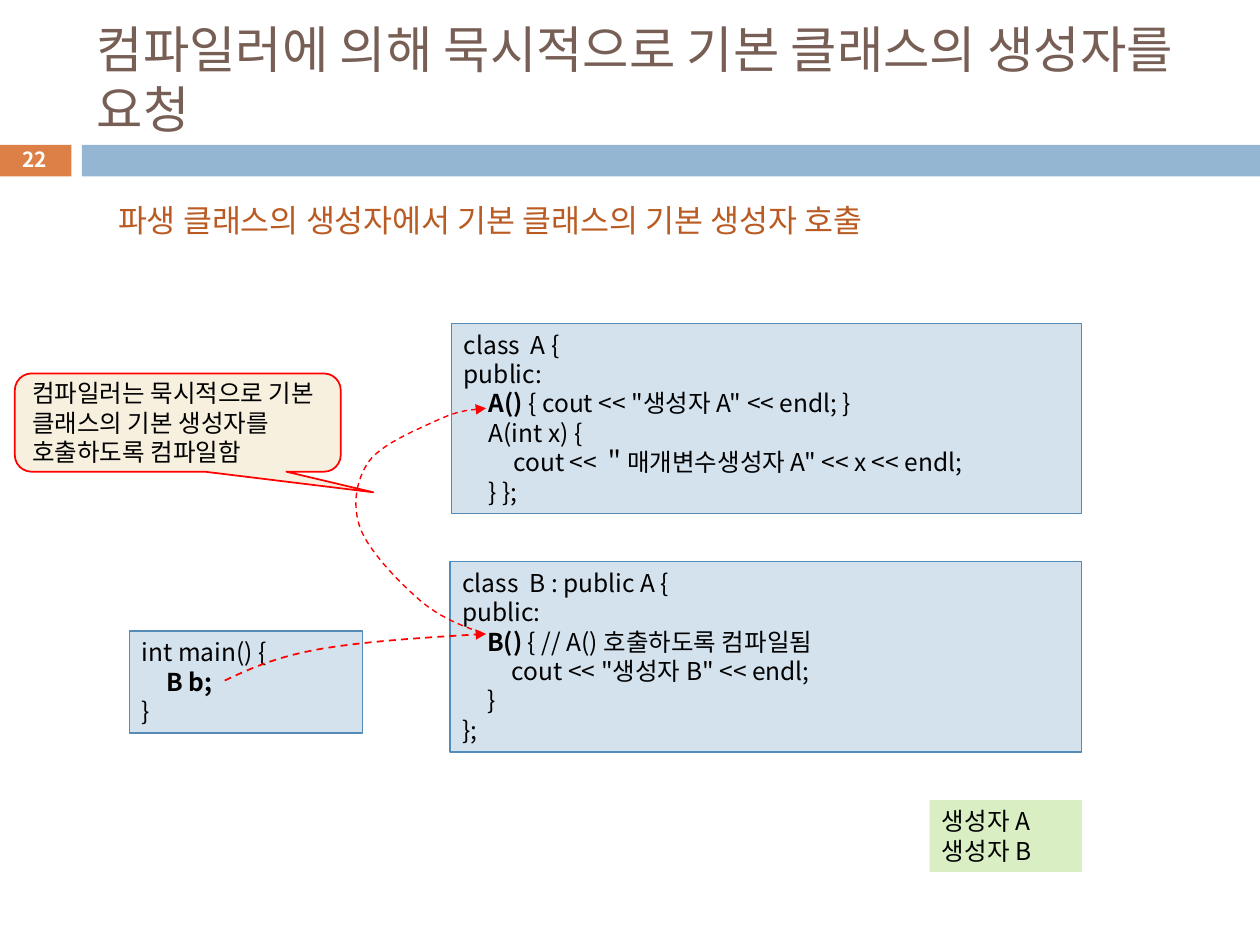
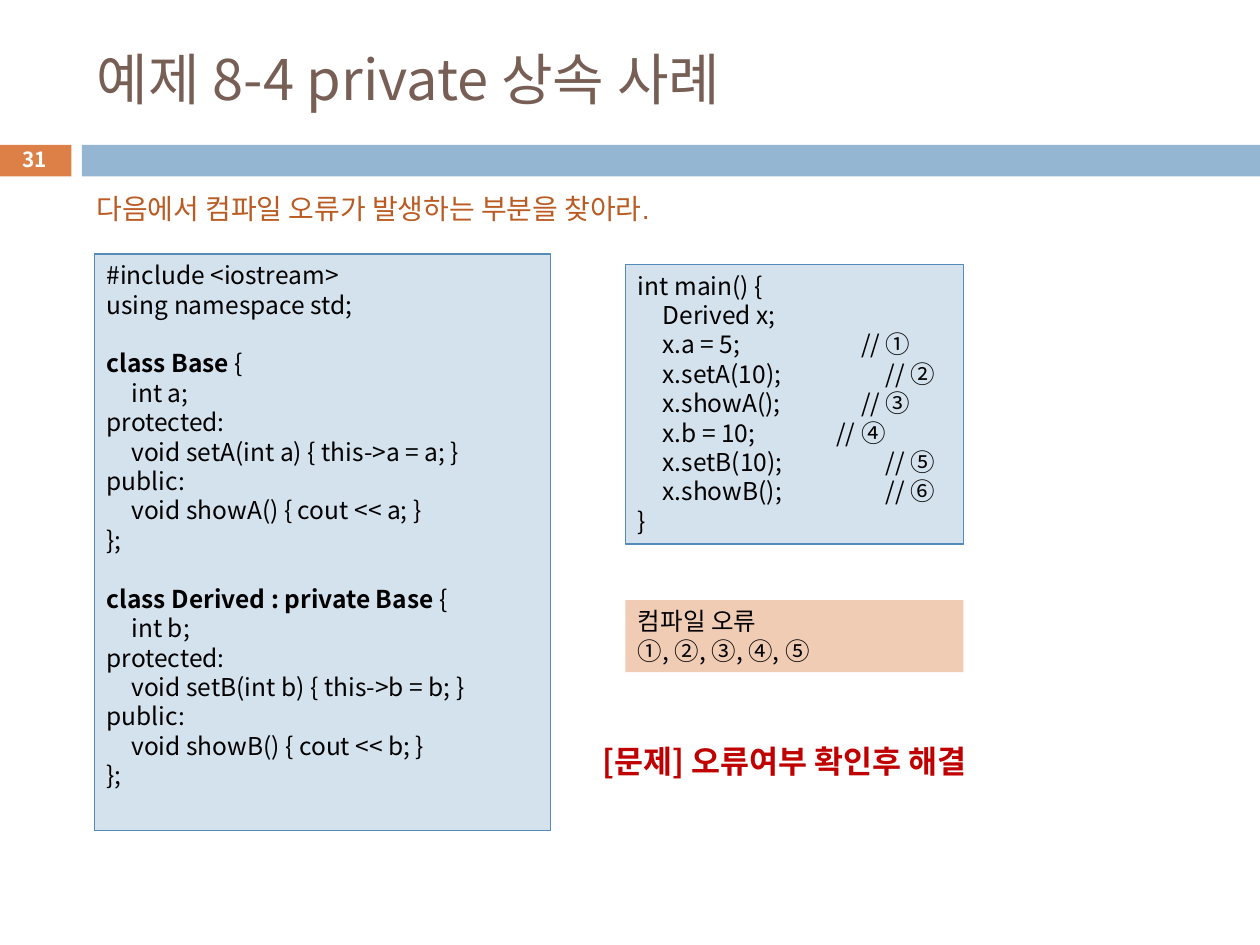
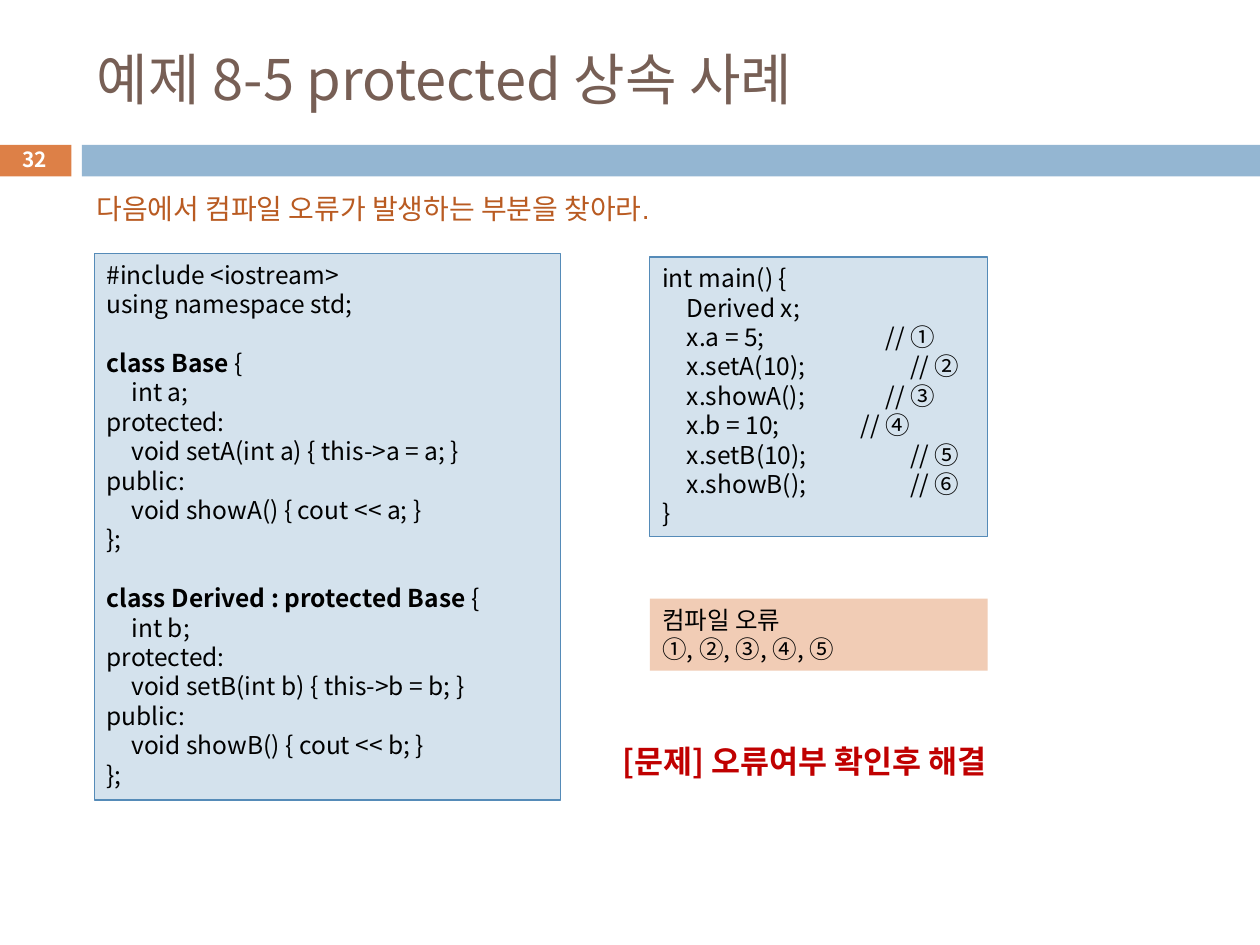
from lxml import etree
from pptx import Presentation
from pptx.dml.color import RGBColor
from pptx.enum.dml import MSO_LINE
from pptx.enum.shapes import MSO_SHAPE
from pptx.enum.text import MSO_ANCHOR, MSO_AUTO_SIZE, PP_ALIGN
from pptx.oxml.ns import qn
from pptx.util import Cm, Pt

RECTANGLE = MSO_SHAPE.RECTANGLE
CALLOUT = MSO_SHAPE.ROUNDED_RECTANGULAR_CALLOUT
DASH = MSO_LINE.DASH
TOP, MIDDLE = MSO_ANCHOR.TOP, MSO_ANCHOR.MIDDLE
LEFT, CENTER = PP_ALIGN.LEFT, PP_ALIGN.CENTER
FIXED_SIZE = MSO_AUTO_SIZE.NONE

BLACK = RGBColor(0x00, 0x00, 0x00)
WHITE = RGBColor(0xFF, 0xFF, 0xFF)
BROWN = RGBColor(0x77, 0x5F, 0x55)
ORANGE = RGBColor(0xDD, 0x80, 0x47)
RUST = RGBColor(0xB9, 0x5B, 0x22)
BLUE = RGBColor(0x94, 0xB6, 0xD2)
PALE_BLUE = RGBColor(0xD4, 0xE2, 0xED)
EDGE_BLUE = RGBColor(0x55, 0x8B, 0xB8)
PALE_GREEN = RGBColor(0xDA, 0xEE, 0xC4)
PEACH = RGBColor(0xF1, 0xCC, 0xB5)
CREAM = RGBColor(0xF7, 0xF0, 0xDE)
RED = RGBColor(0xFF, 0x00, 0x00)
DARK_RED = RGBColor(0xC0, 0x00, 0x00)

FONT = "Noto Sans CJK KR"
TITLE_ONLY = 5
TAB_WIDTH = 0.5
TAB_COUNT = 12
BLANK_LINE = Pt(16.8)

CLASS_A = """class  A {
public:
\t**A() **{ cout << "생성자 A" << endl; }
\tA(int x) {
\t\tcout << ＂매개변수생성자 A" << x << endl;
\t} };"""

CLASS_B = """class  B : public A {
public:
\t**B() **{ // A() 호출하도록 컴파일됨
\t\tcout << "생성자 B" << endl;
\t}
};"""

MAIN_B = """int main() {
\t**B b;**
}"""

BASE_AND_DERIVED = """#include <iostream>
using namespace std;

**class Base **{
\tint a;
protected:
\tvoid setA(int a) { this->a = a; }
public:
\tvoid showA() { cout << a; }
};

**class Derived : ACCESS Base **{
\tint b;
protected:
\tvoid setB(int b) { this->b = b; }
public:
\tvoid showB() { cout << b; }
};"""

MAIN_DERIVED = """int main() {
\tDerived x;
\tx.a = 5; \t\t\t\t\t// ①
\tx.setA(10); \t\t\t\t// ②
\tx.showA(); \t\t\t\t// ③
\tx.b = 10; \t\t\t\t// ④
\tx.setB(10); \t\t\t\t// ⑤
\tx.showB(); \t\t\t\t// ⑥
}"""


class Deck:
    def __init__(self):
        self.presentation = Presentation()
        self.presentation.slide_width = Cm(25.4)
        self.presentation.slide_height = Cm(19.05)
        self.slide = None

    def start_slide(self, number, title, title_size=32):
        layout = self.presentation.slide_layouts[TITLE_ONLY]
        self.slide = self.presentation.slides.add_slide(layout)
        heading = self.slide.shapes.title
        heading.left, heading.top = Cm(1.7), Cm(0.64)
        heading.width, heading.height = Cm(22.66), Cm(1.88)
        self.set_text(heading, title, title_size, BROWN, anchor=MIDDLE)
        self.box((-0.03, 2.92, 1.47, 0.64), ORANGE)
        self.box((1.65, 2.92, 23.75, 0.64), BLUE)
        self.label((-0.03, 2.87, 1.47, 0.69), f"**{number}**", 11.9, WHITE,
                   align=CENTER, anchor=MIDDLE)

    def set_text(self, shape, text, size=14, color=BLACK, font=FONT,
                 align=LEFT, anchor=TOP):
        """Fill a shape with lines of text; ** switches bold on and off."""
        frame = shape.text_frame
        frame.word_wrap = True
        frame.auto_size = FIXED_SIZE
        frame.vertical_anchor = anchor
        paragraph = frame.paragraphs[0]
        after_blank = False
        for index, line in enumerate(text.split("\n")):
            if not line:
                after_blank = True
                continue
            if index:
                paragraph = frame.add_paragraph()
            paragraph.alignment = align
            if "\t" in line:
                self.set_tabs(paragraph)
            if after_blank:
                paragraph.space_before = BLANK_LINE
                after_blank = False
            for part, words in enumerate(line.split("**")):
                if words:
                    self.add_run(paragraph, words, size, color, font, part % 2 == 1)

    def add_run(self, paragraph, words, size, color, font, bold):
        run = paragraph.add_run()
        run.text = words
        run.font.size = Pt(size)
        run.font.bold = bold
        run.font.name = font
        run.font.color.rgb = color
        east_asian = etree.SubElement(run.font._element, qn("a:ea"))
        east_asian.set("typeface", FONT)

    def set_tabs(self, paragraph):
        stops = etree.SubElement(paragraph._p.get_or_add_pPr(), qn("a:tabLst"))
        for number in range(1, TAB_COUNT + 1):
            etree.SubElement(stops, qn("a:tab"), pos=str(Cm(TAB_WIDTH * number)), algn="l")

    def box(self, place, fill, edge=None, edge_width=0.75, kind=RECTANGLE):
        shape = self.slide.shapes.add_shape(kind, *map(Cm, place))
        shape.shadow.inherit = False
        shape.fill.solid()
        shape.fill.fore_color.rgb = fill
        if edge is None:
            shape.line.fill.background()
        else:
            shape.line.color.rgb = edge
            shape.line.width = Pt(edge_width)
        return shape

    def label(self, place, text, size, color, **style):
        self.set_text(self.slide.shapes.add_textbox(*map(Cm, place)), text, size, color, **style)

    def code(self, place, text):
        self.set_text(self.box(place, PALE_BLUE, EDGE_BLUE), text)

    def result(self, place, text, fill):
        self.set_text(self.box(place, fill), text)

    def callout(self, place, text, pointer):
        shape = self.box(place, CREAM, RED, 1, CALLOUT)
        for index, value in enumerate(pointer):
            shape.adjustments[index] = value
        self.set_text(shape, text, anchor=MIDDLE)

    def curved_arrow(self, points, width):
        """Draw a dashed Bezier arrow: a start, then triples of two controls and an end."""
        (start_x, start_y), *rest = [(Cm(x), Cm(y)) for x, y in points]
        builder = self.slide.shapes.build_freeform(start_x, start_y)
        builder.add_line_segments(rest, close=False)
        arrow = builder.convert_to_shape()
        arrow.shadow.inherit = False
        arrow.fill.background()
        arrow.line.color.rgb = RED
        arrow.line.width = Pt(width)
        arrow.line.dash_style = DASH
        etree.SubElement(arrow.line._ln, qn("a:tailEnd"), type="triangle")
        segments = list(arrow._element.iter(qn("a:lnTo")))
        outline = segments[0].getparent()
        for first in range(0, len(segments), 3):
            curve = etree.SubElement(outline, qn("a:cubicBezTo"))
            for segment in segments[first:first + 3]:
                curve.append(segment[0])
                outline.remove(segment)


def add_implicit_call_slide(deck):
    deck.start_slide(22, "컴파일러에 의해 묵시적으로 기본 클래스의 생성자를 요청", 28.8)
    deck.code((9.1, 6.52, 12.7, 3.84), CLASS_A)
    deck.code((9.07, 11.32, 12.73, 3.84), CLASS_B)
    deck.code((2.61, 12.72, 4.7, 2.06), MAIN_B)
    deck.curved_arrow([(9.7, 12.75), (9.32, 12.62), (8.92, 12.47), (8.51, 12.14),
                       (8.1, 11.79), (7.44, 11.13), (7.26, 10.64),
                       (7.09, 10.16), (7.19, 9.65), (7.44, 9.3),
                       (7.7, 8.94), (8.46, 8.64), (8.84, 8.46),
                       (9.25, 8.28), (9.53, 8.26), (9.8, 8.23)], 0.8)
    deck.result((18.74, 16.13, 3.07, 1.45), "생성자 A\n생성자 B", PALE_GREEN)
    deck.callout((0.3, 7.53, 6.57, 1.98),
                 "컴파일러는 묵시적으로 기본 클래스의 기본 생성자를 호출하도록 컴파일함",
                 (0.6, 0.71, 0.17))
    deck.curved_arrow([(4.53, 13.72), (5.08, 13.46), (5.61, 13.23), (6.48, 13.08),
                       (7.37, 12.93), (8.59, 12.85), (9.8, 12.78)], 1)
    deck.label((2.13, 3.93, 21.18, 1.02),
               "파생 클래스의 생성자에서 기본 클래스의 기본 생성자 호출", 18, RUST)


def add_example_slide(deck, number, example, access, code_place,
                      main_left, main_top, errors_top, task_left):
    deck.start_slide(number, f"예제 {example} {access} 상속 사례")
    deck.code(code_place, BASE_AND_DERIVED.replace("ACCESS", access))
    deck.code((main_left, main_top, 6.81, 5.64), MAIN_DERIVED)
    deck.label((1.7, 3.73, 13.03, 0.94),
               "다음에서 컴파일 오류가 발생하는 부분을 찾아라.", 16, RUST, font="Arial")
    deck.result((main_left, errors_top, 6.81, 1.45), "컴파일 오류\n①, ②, ③, ④, ⑤", PEACH)
    deck.label((task_left, 14.83, 8.64, 1.02), "**[문제] 오류여부 확인후 해결**", 18, DARK_RED)


def main():
    deck = Deck()
    add_implicit_call_slide(deck)
    add_example_slide(deck, 31, "8-4", "private", (1.9, 5.12, 9.2, 11.63),
                      12.61, 5.33, 12.1, 11.9)
    add_example_slide(deck, 32, "8-5", "protected", (1.9, 5.11, 9.4, 11.02),
                      13.1, 5.18, 12.07, 12.3)
    deck.presentation.save("out.pptx")


if __name__ == "__main__":
    main()
